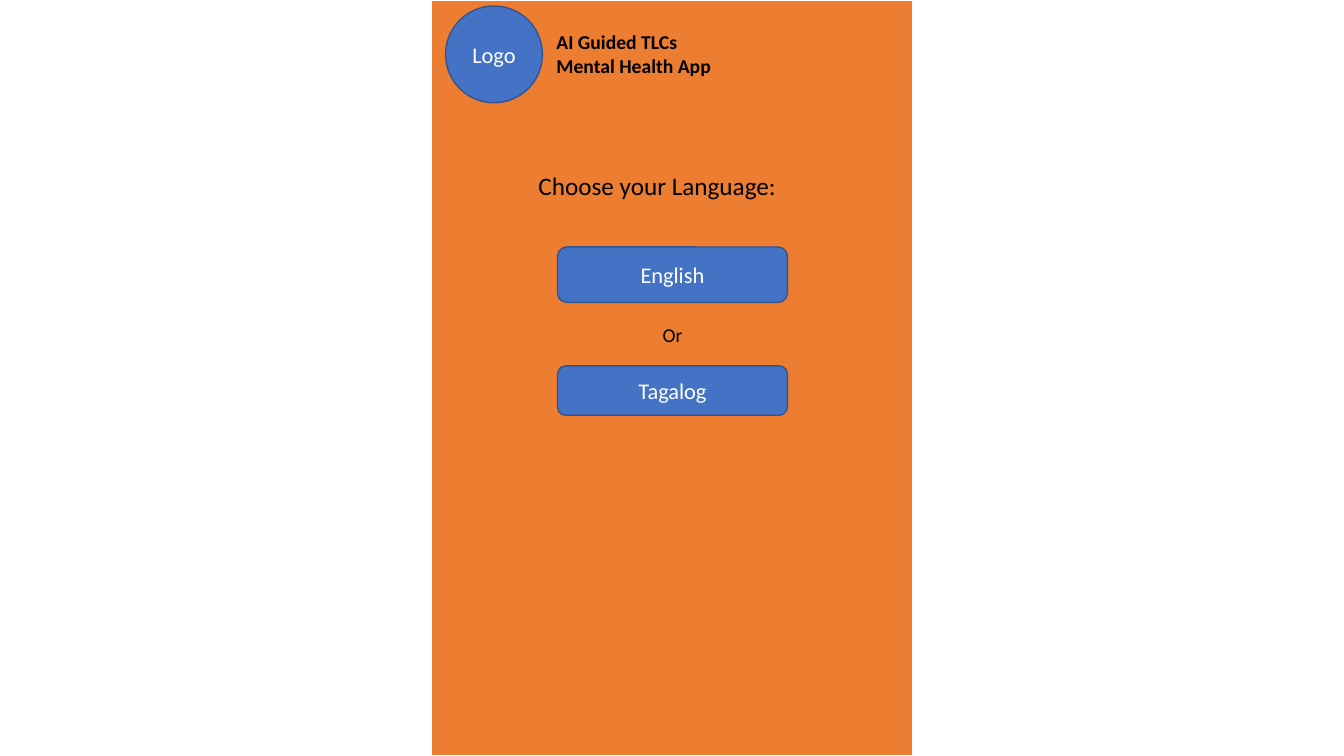
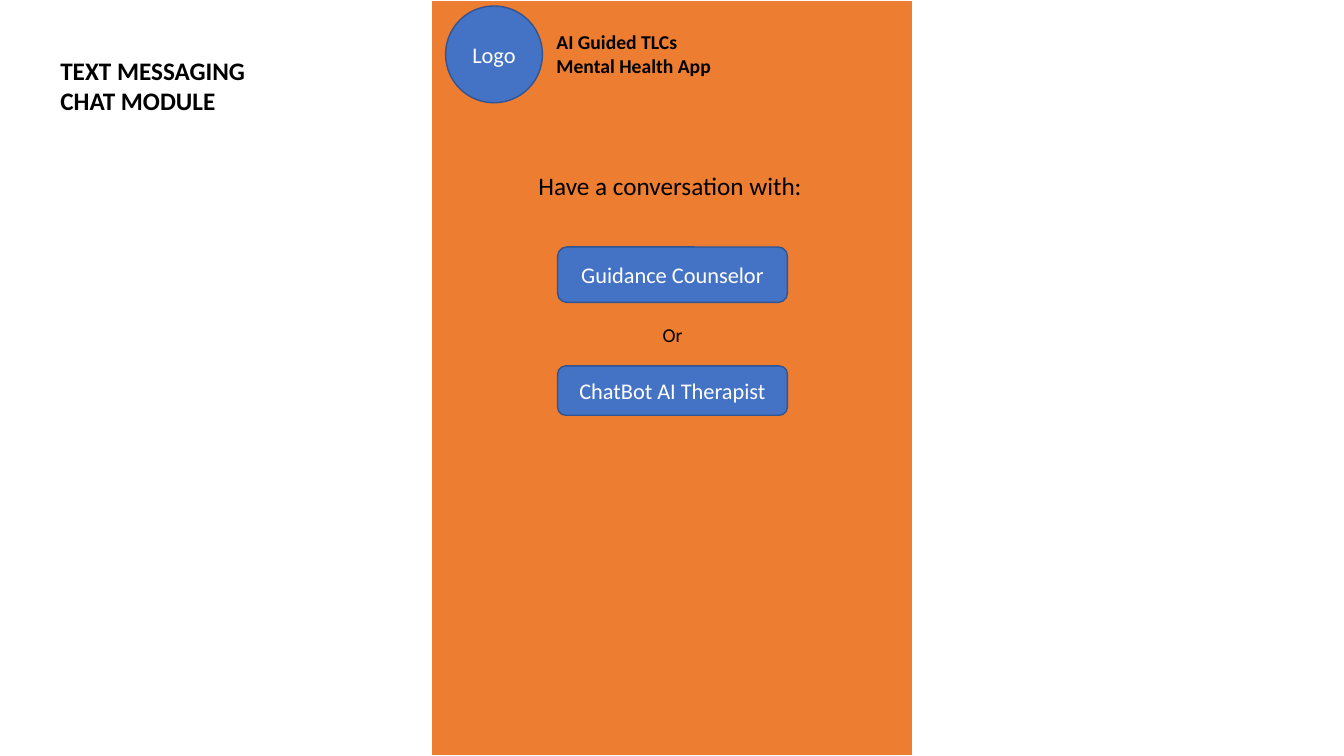
from pptx import Presentation
from pptx import util as u
from pptx.dml.color import RGBColor
from pptx.enum import shapes, text

COLORS = {"screen": "ED7D31", "accent": "4472C4", "outline": "325491",
          "light": "FFFFFF", "dark": "000000"}
FONT = "Calibri"
SHAPE = shapes.MSO_SHAPE
ANCHOR = text.MSO_ANCHOR


def color(name):
    return RGBColor.from_string(COLORS[name])


def write(frame, content, size=14, ink="dark", bold=False, centered=False,
          anchor=ANCHOR.TOP):
    """Fill a text frame, one paragraph per line of content."""
    frame.text = content
    frame.word_wrap = True
    frame.auto_size = text.MSO_AUTO_SIZE.NONE
    frame.vertical_anchor = anchor
    for paragraph in frame.paragraphs:
        paragraph.alignment = text.PP_ALIGN.CENTER if centered else text.PP_ALIGN.LEFT
        font = paragraph.font
        font.name, font.size, font.bold = FONT, u.Pt(size), bold
        font.color.rgb = color(ink)


class AppMockup:
    """Holds the deck style and the slide being built."""

    def __init__(self):
        self.deck = Presentation()
        self.deck.slide_width = u.Inches(13.33)
        self.deck.slide_height = u.Inches(7.5)
        self.slide = None

    def shape(self, kind, box, fill="accent", outline="outline", weight=1):
        item = self.slide.shapes.add_shape(kind, *map(u.Inches, box))
        item.shadow.inherit = False
        item.fill.solid()
        item.fill.fore_color.rgb = color(fill)
        item.line.color.rgb = color(outline)
        item.line.width = u.Pt(weight)
        return item

    def button(self, label, box, kind=SHAPE.ROUNDED_RECTANGLE):
        write(self.shape(kind, box).text_frame, label, size=16, ink="light",
              centered=True, anchor=ANCHOR.MIDDLE)

    def label(self, content, box, **style):
        item = self.slide.shapes.add_textbox(*map(u.Inches, box))
        write(item.text_frame, content, **style)

    def prompt(self, content, box):
        title = self.slide.shapes.title
        title.left, title.top, title.width, title.height = map(u.Inches, box)
        write(title.text_frame, content, size=18)
        # Bring the title in front of the phone screen
        self.slide.shapes._spTree.append(title._element)

    def phone_screen(self):
        self.slide = self.deck.slides.add_slide(self.deck.slide_layouts[5])
        self.shape(SHAPE.RECTANGLE, (4.27, 0, 4.79, 7.5), "screen", "light", 1.5)
        self.button("Logo", (4.42, 0.06, 0.96, 0.96), SHAPE.OVAL)
        self.label("AI Guided TLCs Mental Health App", (5.42, 0.25, 1.83, 0.57),
                   bold=True)

    def choice_screen(self, question, first, second, module=None):
        self.phone_screen()
        self.prompt(question, (5.24, 1.64, 2.85, 0.4))
        self.label("Or", (4.79, 3.15, 3.76, 0.34), centered=True)
        if module:
            self.label(module, (0.5, 0.5, 2.54, 0.71), size=18, bold=True)
        self.button(first, (5.53, 2.45, 2.28, 0.55))
        self.button(second, (5.53, 3.63, 2.28, 0.49))


def main():
    app = AppMockup()
    # Language choice
    app.choice_screen("Choose your Language:", "English", "Tagalog")
    # Chat partner choice
    app.choice_screen("Have a conversation with:", "Guidance Counselor",
                      "ChatBot AI Therapist", module="TEXT MESSAGING\nCHAT MODULE")
    app.deck.save("out.pptx")


if __name__ == "__main__":
    main()
